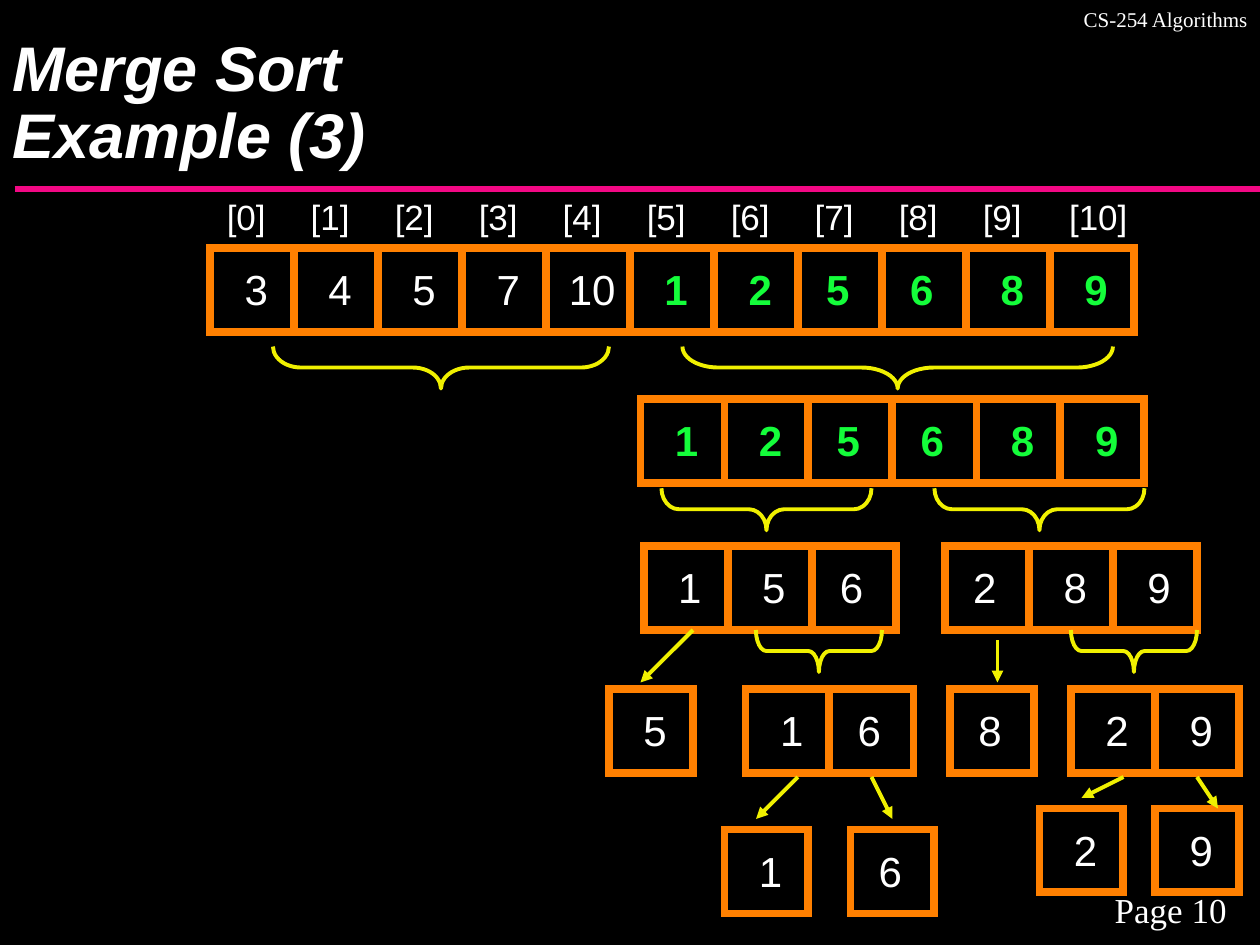
from dataclasses import dataclass

from lxml import etree
from pptx import Presentation
from pptx import util as u
from pptx.dml.color import RGBColor
from pptx.enum import shapes, text
from pptx.oxml.ns import qn

PX = 7620  # EMU per px, 120 px to the inch
CELL = 80
BRACE_HEIGHT = 40
NUDGE = -6  # some digits sit left of the centre of their cell


@dataclass(frozen=True)
class Theme:
    back: str = "000000"
    ink: str = "FFFFFF"
    sorted_ink: str = "14FD3A"
    cell_line: str = "FF8000"
    mark: str = "F0F000"
    rule: str = "F20884"
    sans: str = "Arial"
    serif: str = "Times New Roman"
    title_size: int = 36
    digit_size: int = 24
    label_size: int = 20
    header_size: int = 12
    cell_width: float = 4.5
    rule_width: float = 3.75
    mark_width: float = 2.25


THEME = Theme()
ALIGN = text.PP_ALIGN
ANCHOR = text.MSO_ANCHOR

# left, top, values, positions of the digits that are nudged
CELL_ROWS = [
    (610, 380, [1, 2, 5, 6, 8, 9], {2, 3}),
    (613, 520, [1, 5, 6], {2}),
    (900, 520, [2, 8, 9], {0}),
    (710, 656, [1, 6], {1}),
    (580, 656, [5], set()),
    (905, 656, [8], {0}),
    (1020, 656, [2, 9], set()),
    (690, 790, [1], set()),
    (810, 790, [6], {0}),
    (990, 770, [2], set()),
    (1100, 770, [9], set()),
]

# left, top, span
BRACES = [
    (260, 330, 320), (650, 330, 410),
    (630, 465, 200), (890, 465, 200),
    (720, 600, 120), (1020, 600, 120),
]

# start x, start y, end x, end y
ARROWS = [
    (660, 600, 610, 650),
    (760, 740, 720, 780),
    (830, 740, 850, 780),
    (950, 610, 950, 650),
    (1070, 740, 1030, 760),
    (1140, 740, 1160, 770),
]


@dataclass
class GroupPage:
    """Lets the drawing functions place shapes inside a group."""
    shapes: object


def emu(*lengths):
    return [u.Emu(round(length * PX)) for length in lengths]


def color(value):
    return RGBColor.from_string(value)


def add_text(page, words, box, *, size, font=THEME.sans, ink=THEME.ink, bold=False,
             italic=False, align=ALIGN.CENTER, anchor=ANCHOR.MIDDLE, wrap=False, spacing=None):
    frame = page.shapes.add_textbox(*emu(*box)).text_frame
    frame.word_wrap = wrap
    frame.vertical_anchor = anchor
    if not wrap:
        frame.margin_left = frame.margin_right = 0
    para = frame.paragraphs[0]
    para.text = words
    para.alignment = align
    if spacing:
        para.line_spacing = spacing
    for span in para.runs:
        span.font.name = font
        span.font.size = u.Pt(size)
        span.font.bold = bold
        span.font.italic = italic
        span.font.color.rgb = color(ink)


def add_outline(page, kind, box, ink, width):
    shape = page.shapes.add_shape(kind, *emu(*box))
    shape.shadow.inherit = False
    shape.fill.background()
    shape.line.color.rgb = color(ink)
    shape.line.width = u.Pt(width)
    return shape


def add_line(page, start, end, ink, width, arrow=False):
    line = page.shapes.add_connector(shapes.MSO_CONNECTOR.STRAIGHT, *emu(*start, *end))
    line.line.color.rgb = color(ink)
    line.line.width = u.Pt(width)
    if arrow:
        etree.SubElement(line.line._get_or_add_ln(), qn("a:tailEnd"), type="triangle")
    etree.SubElement(line._element.spPr, qn("a:effectLst"))


def add_cells(page, left, top, values, nudged, inks):
    """Draw one array as a grouped row of square cells with centred digits."""
    row = GroupPage(page.shapes.add_group_shape().shapes)
    for index in range(len(values)):
        cell = add_outline(row, shapes.MSO_SHAPE.RECTANGLE,
                           (left + index * CELL, top, CELL, CELL),
                           THEME.cell_line, THEME.cell_width)
        etree.SubElement(cell.line._get_or_add_ln(), qn("a:miter"), lim="800000")
    for index, (value, ink) in enumerate(zip(values, inks)):
        shift = NUDGE if index in nudged else 0
        add_text(row, str(value), (left + index * CELL + 8 + shift, top + 15, 72, 48),
                 size=THEME.digit_size, ink=ink, bold=ink == THEME.sorted_ink)


def add_indexed_array(page, left, top):
    """Draw the full array with its index labels above it."""
    values = [3, 4, 5, 7, 10, 1, 2, 5, 6, 8, 9]
    for index in range(len(values)):
        width, shift = (61, 4) if index < 10 else (80, 6)
        add_text(page, f"[{index}]", (left + index * CELL + shift, top - 56, width, 52),
                 size=THEME.label_size)
    inks = [THEME.ink] * 5 + [THEME.sorted_ink] * 6
    add_cells(page, left, top, values, {7, 8}, inks)


def add_brace(page, left, top, span):
    """Draw a brace that points down, as a left brace turned by a quarter."""
    middle_x, middle_y = left + span / 2, top + BRACE_HEIGHT / 2
    box = (middle_x - BRACE_HEIGHT / 2, middle_y - span / 2, BRACE_HEIGHT, span)
    brace = add_outline(page, shapes.MSO_SHAPE.LEFT_BRACE, box, THEME.mark, THEME.mark_width)
    brace.rotation = 270
    brace.adjustments[0] = span / (12 * BRACE_HEIGHT)
    brace.adjustments[1] = 0.5


def add_frame(page, width):
    """Draw the title, the rule below it, the header and the page number."""
    add_line(page, (14, 180), (width, 180), THEME.rule, THEME.rule_width)
    add_text(page, "Page 10", (1030, 840, 170, 52), size=THEME.label_size,
             font=THEME.serif, anchor=ANCHOR.TOP, wrap=True)
    add_text(page, "CS-254 Algorithms", (670, 0, 530, 36), size=THEME.header_size,
             font=THEME.serif, align=ALIGN.RIGHT, anchor=ANCHOR.TOP, wrap=True)
    add_text(page, "Merge Sort\vExample (3)", (0, 0, width, 170), size=THEME.title_size,
             bold=True, italic=True, align=ALIGN.LEFT, anchor=ANCHOR.BOTTOM,
             wrap=True, spacing=0.89)


def main():
    deck = Presentation()
    deck.slide_width, deck.slide_height = emu(1200, 900)
    page = deck.slides.add_slide(deck.slide_layouts[6])
    page.background.fill.solid()
    page.background.fill.fore_color.rgb = color(THEME.back)

    add_frame(page, 1200)
    add_indexed_array(page, 200, 236)
    for left, top, values, nudged in CELL_ROWS:
        ink = THEME.sorted_ink if len(values) == 6 else THEME.ink
        add_cells(page, left, top, values, nudged, [ink] * len(values))
    for brace in BRACES:
        add_brace(page, *brace)
    for x1, y1, x2, y2 in ARROWS:
        add_line(page, (x1, y1), (x2, y2), THEME.mark, THEME.mark_width, arrow=True)
    deck.save("out.pptx")


if __name__ == "__main__":
    main()
